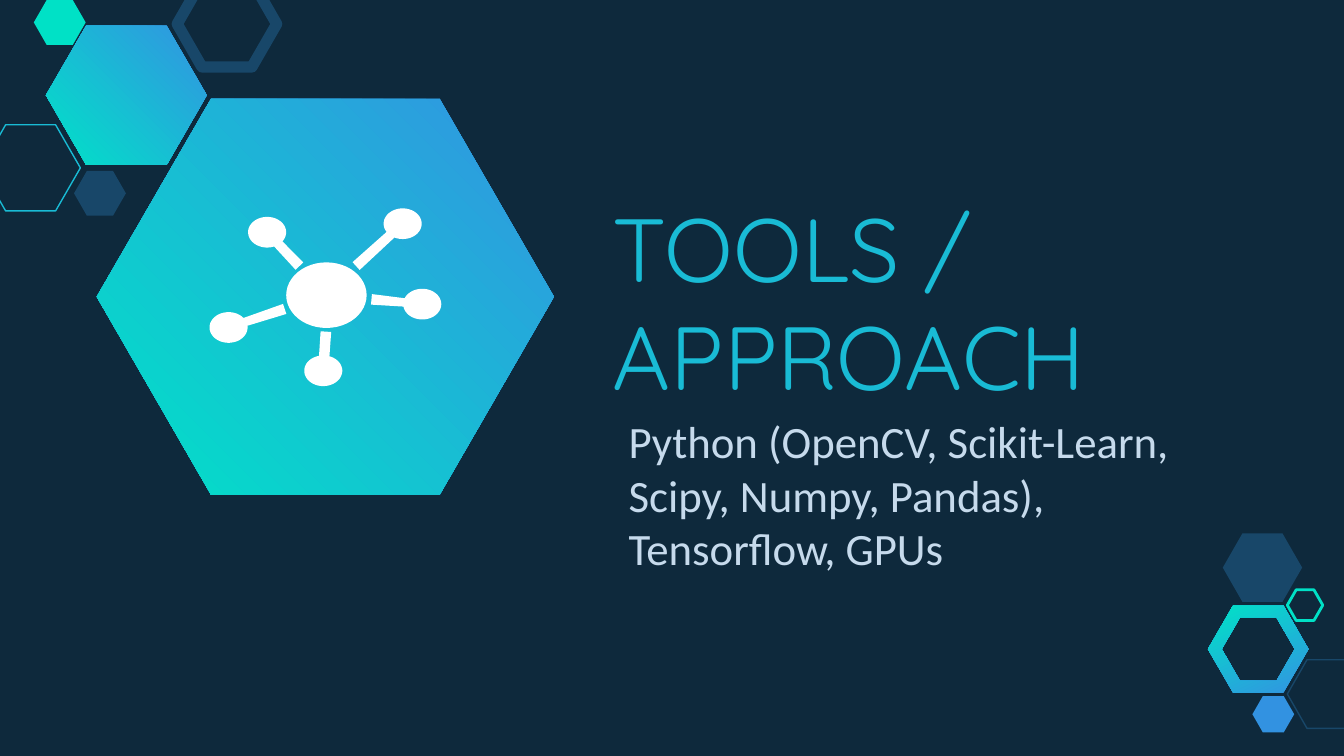
from math import atan2, cos, pi, sin, sqrt

from pptx import Presentation
from pptx.dml.color import RGBColor
from pptx.enum.shapes import MSO_SHAPE as Shape
from pptx.enum.text import MSO_ANCHOR as Anchor, MSO_AUTO_SIZE as AutoSize, PP_ALIGN as Align
from pptx.util import Cm, Pt

NAVY = RGBColor(0x0E, 0x29, 0x3C)
STEEL = RGBColor(0x18, 0x47, 0x69)
CYAN = RGBColor(0x19, 0xBB, 0xD5)
MINT = RGBColor(0x00, 0xE1, 0xC6)
SKY = RGBColor(0x32, 0x92, 0xE1)
PALE = RGBColor(0xC6, 0xDA, 0xEC)
WHITE = RGBColor(0xFF, 0xFF, 0xFF)
GRADIENT = (RGBColor(0x33, 0x93, 0xE2), RGBColor(0x00, 0xE2, 0xC7))

HEX_RATIO = sqrt(3) / 2  # height to width of a regular hexagon

# Small hexagons: left, top, width, fill, (line colour, line width)
SMALL_HEXAGONS = [
    (-0.36, 2.36, 1.88, None, (CYAN, 0.75)),
    (1.4, 3.23, 0.98, STEEL, None),
    (3.35, -0.36, 1.88, None, (STEEL, 6)),
    (0.69, 0.13, 0.81, MINT, None),
    (24.33, 12.47, 1.5, None, (STEEL, 0.75)),
    (23.67, 13.16, 0.79, SKY, None),
    (23.11, 10.08, 1.5, STEEL, None),
    (24.33, 11.15, 0.67, None, (MINT, 1.5)),
    (0.64, 0, 0.98, MINT, None),
]

# Network icon: centre of each outer node, end of its stalk near the hub
SPOKES = [
    ((7.61, 4.23), (6.73, 5.03)),
    ((5.05, 4.39), (5.66, 5.03)),
    ((4.32, 6.19), (5.38, 5.84)),
    ((6.11, 7.01), (6.16, 6.27)),
    ((7.98, 5.75), (7.02, 5.66)),
]


def style(sp, fill=None, line=None):
    sp.shadow.inherit = False
    if fill is None:
        sp.fill.background()
    else:
        sp.fill.solid()
        sp.fill.fore_color.rgb = fill
    if line is None:
        sp.line.fill.background()
    else:
        sp.line.color.rgb, sp.line.width = line[0], Pt(line[1])


def add_hexagon(shapes, left, top, width, fill, line):
    sp = shapes.add_shape(Shape.HEXAGON, Cm(left), Cm(top), Cm(width), Cm(width * HEX_RATIO))
    sp.adjustments[0] = 0.287
    style(sp, fill, line)


def add_outline(shapes, *contours):
    """Closed freeform; contours are lists of points in cm."""
    contours = [[(Cm(x), Cm(y)) for x, y in points] for points in contours]
    builder = shapes.build_freeform(*contours[0][0])
    for i, points in enumerate(contours):
        if i:
            builder.move_to(*points[0])
        builder.add_line_segments(points[1:], close=True)
    return builder.convert_to_shape()


def hexagon_points(cx, cy, radius, turn=1):
    return [(cx + radius * cos(turn * k * pi / 3), cy + radius * sin(turn * k * pi / 3))
            for k in range(6)]


def add_gradient_hexagon(shapes, angle, *contours):
    sp = add_outline(shapes, *contours)
    style(sp)
    sp.fill.gradient()
    sp.fill.gradient_angle = angle
    for stop, color, position in zip(sp.fill.gradient_stops, GRADIENT, (0, 1)):
        stop.color.rgb, stop.position = color, position


def add_spoke(shapes, center, tip, rx=0.36, ry=0.29, half=0.1, steps=48):
    """Oval node and its stalk as one outline."""
    (cx, cy), (tx, ty) = center, tip
    angle = atan2(ty - cy, tx - cx)
    start = atan2((ty - cy) / ry, (tx - cx) / rx)
    gap = half / rx
    arc = [start + gap + (2 * pi - 2 * gap) * k / steps for k in range(steps + 1)]
    points = [(cx + rx * cos(a), cy + ry * sin(a)) for a in arc]
    points += [(tx - side * half * sin(angle), ty + side * half * cos(angle))
               for side in (-1, 1)]
    style(add_outline(shapes, points), WHITE)


def add_network_icon(shapes):
    icon = shapes.add_group_shape().shapes
    for center, tip in SPOKES:
        add_spoke(icon, center, tip)
    hub = icon.add_shape(Shape.OVAL, Cm(5.41), Cm(4.96), Cm(1.52), Cm(1.24))
    style(hub, WHITE)


def set_text(sp, text, font, size, color):
    tf = sp.text_frame
    tf.word_wrap = True
    tf.auto_size = AutoSize.NONE
    tf.vertical_anchor = Anchor.TOP
    tf.margin_left = tf.margin_right = tf.margin_top = tf.margin_bottom = Cm(0.25)
    p = tf.paragraphs[0]
    p.text = text
    p.alignment = Align.LEFT
    p.font.name, p.font.size, p.font.color.rgb = font, Pt(size), color


def main():
    prs = Presentation()
    prs.slide_width, prs.slide_height = Cm(25.4), Cm(14.29)
    s = prs.slides.add_slide(prs.slide_layouts[5])
    s.background.fill.solid()
    s.background.fill.fore_color.rgb = NAVY

    # Gradient hexagons: ring at bottom right, two solid ones at top left
    add_gradient_hexagon(s.shapes, 116, hexagon_points(23.78, 12.27, 0.95),
                         hexagon_points(23.78, 12.27, 0.69, turn=-1))
    add_gradient_hexagon(s.shapes, 225, hexagon_points(2.39, 1.8, 1.52))
    add_gradient_hexagon(s.shapes, 225, hexagon_points(6.15, 5.61, 4.32))

    # Decoration and icon
    for hexagon in SMALL_HEXAGONS:
        add_hexagon(s.shapes, *hexagon)
    add_network_icon(s.shapes)

    # Title and subtitle
    title = s.shapes.title
    title.left, title.top, title.width, title.height = Cm(11.33), Cm(3.4), Cm(13.87), Cm(3.23)
    set_text(title, "TOOLS / APPROACH", "Quicksand", 48, CYAN)
    subtitle = s.shapes.add_textbox(Cm(11.63), Cm(7.57), Cm(12.04), Cm(2.18))
    set_text(subtitle, "Python (OpenCV, Scikit-Learn, Scipy, Numpy, Pandas), Tensorflow, GPUs",
             "Calibri", 24, PALE)

    prs.save("out.pptx")


if __name__ == "__main__":
    main()
